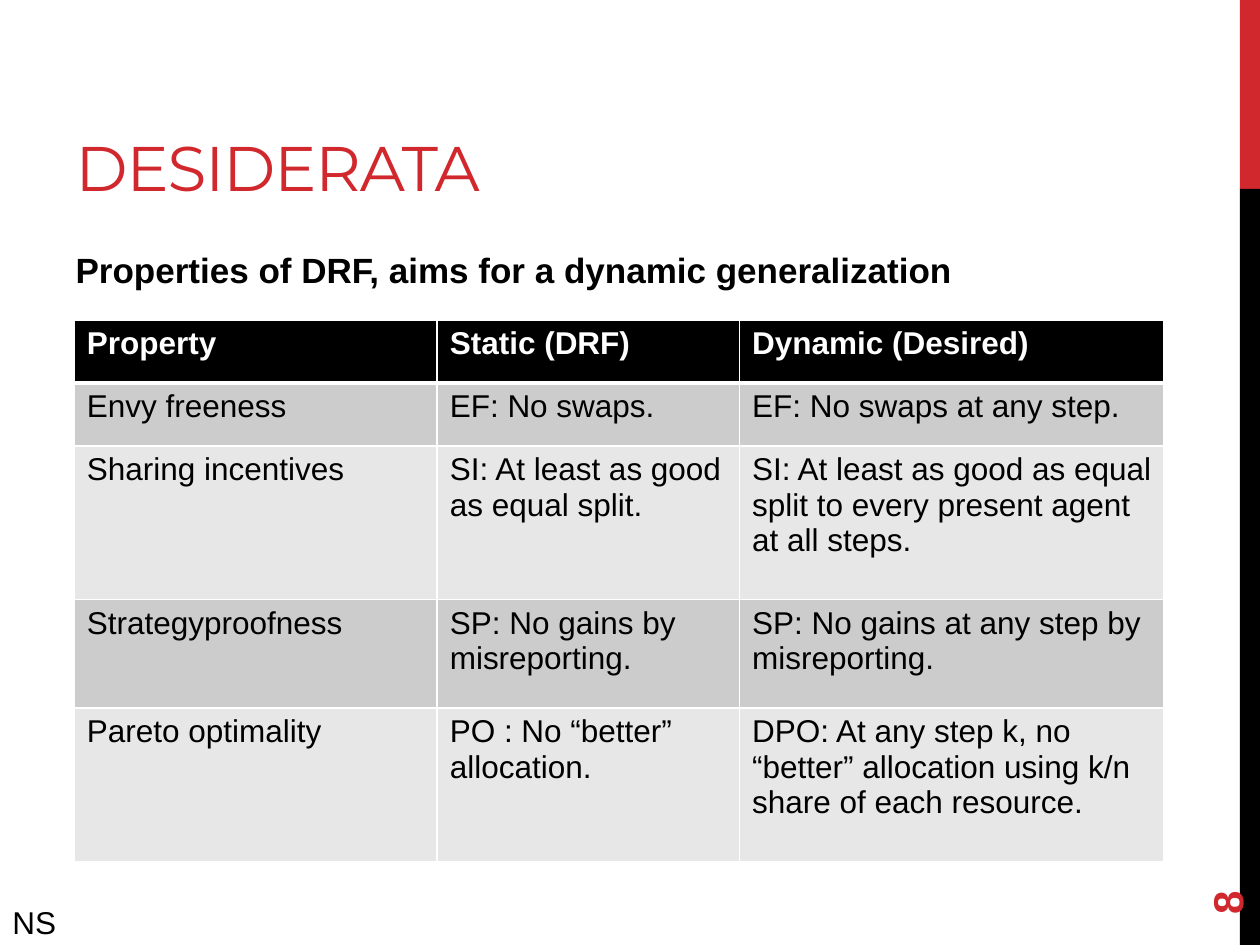
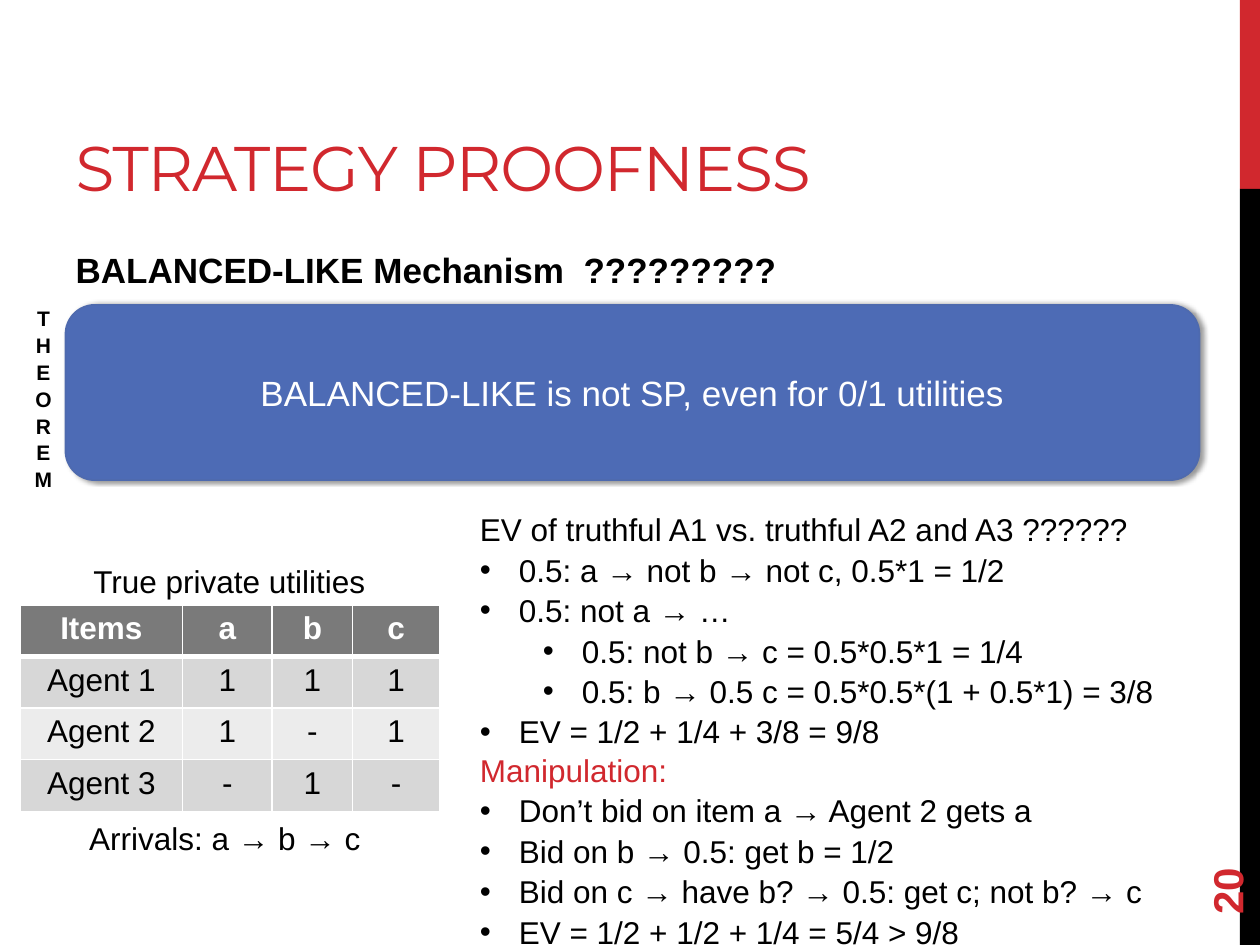
"""Build two slides on dynamic resource allocation."""
from typing import NamedTuple

from lxml.etree import SubElement
from pptx import Presentation
from pptx.dml.color import RGBColor
from pptx.enum.shapes import MSO_SHAPE
from pptx.enum.text import MSO_ANCHOR, MSO_AUTO_SIZE, PP_ALIGN
from pptx.oxml import parse_xml
from pptx.oxml.ns import nsdecls, qn
from pptx.util import Inches, Pt

COLORS = {
    "red": "D1282E", "black": "000000", "white": "FFFFFF",
    "theorem": "4D6BB5", "theorem_line": "4E6AAE",
    "header_gray": "7A7A7A", "dark_band": "CCCCCC", "light_band": "E7E7E7",
    "dark_band_soft": "D7D7D7", "light_band_soft": "ECECEC",
}
BODY_FONT, TITLE_FONT = "Arial", "Montserrat"
LINE_SPACING = 1.07
BULLET_INDENT, LEVEL_INDENT = 0.31, 0.5


class Box(NamedTuple):
    """Position and size in inches."""
    left: float
    top: float
    width: float
    height: float

    def lengths(self) -> list:
        """Return the four values as lengths."""
        return [Inches(value) for value in self]


class TextStyle(NamedTuple):
    """Look of a run and its paragraph."""
    size: float = 18
    color: str = "black"
    bold: bool = False
    font: str = BODY_FONT
    align: PP_ALIGN = PP_ALIGN.LEFT


class Line(NamedTuple):
    """One paragraph; level None means no bullet."""
    text: str
    level: int | None = 0
    color: str = "black"


class TableStyle(NamedTuple):
    """Fills and alignment of a table."""
    header: str
    bands: tuple[str, str]
    align: PP_ALIGN = PP_ALIGN.LEFT


PLAIN = TextStyle()
CENTERED = TextStyle(align=PP_ALIGN.CENTER)
TITLE = TextStyle(36, "red", font=TITLE_FONT)
SUBTITLE = TextStyle(20, bold=True)
PAGE_NUMBER = TextStyle(24, "red", bold=True)
THEOREM_LABEL = TextStyle(12, bold=True, align=PP_ALIGN.CENTER)
THEOREM_TEXT = TextStyle(20, "white", align=PP_ALIGN.CENTER)

BANDS = ((Box(9.84, 0, 0.16, 1.5), "red"), (Box(9.84, 1.5, 0.16, 6), "black"))

PROPERTIES = (
    ("Property", "Static (DRF)", "Dynamic (Desired)"),
    ("Envy freeness", "EF: No swaps.", "EF: No swaps at any step."),
    ("Sharing incentives", "SI: At least as good as equal split.",
     "SI: At least as good as equal split to every present agent at all steps."),
    ("Strategyproofness", "SP: No gains by misreporting.",
     "SP: No gains at any step by misreporting."),
    ("Pareto optimality", "PO : No “better” allocation.",
     "DPO: At any step k, no “better” allocation using k/n share of each resource."),
)
UTILITIES = (
    ("Items", "a", "b", "c"),
    ("Agent 1", "1", "1", "1"),
    ("Agent 2", "1", "-", "1"),
    ("Agent 3", "-", "1", "-"),
)
TRUTHFUL = (
    Line("EV of truthful A1 vs. truthful A2 and A3 ??????", None),
    Line("0.5: a → not b → not c, 0.5*1 = 1/2"),
    Line("0.5: not a → …"),
    Line("0.5: not b → c = 0.5*0.5*1 = 1/4", 1),
    Line("0.5: b → 0.5 c = 0.5*0.5*(1 + 0.5*1) = 3/8", 1),
    Line("EV = 1/2 + 1/4 + 3/8 = 9/8"),
)
MANIPULATION = (
    Line("Manipulation:", None, "red"),
    Line("Don’t bid on item a → Agent 2 gets a"),
    Line("Bid on b → 0.5: get b = 1/2"),
    Line("Bid on c → have b? → 0.5: get c; not b? → c"),
    Line("EV = 1/2 + 1/2 + 1/4 = 5/4 > 9/8"),
)


def rgb(name: str) -> RGBColor:
    """Look up a colour by name."""
    return RGBColor.from_string(COLORS[name])


def write(paragraph, text: str, style: TextStyle):
    """Add one styled run to a paragraph and return it."""
    paragraph.alignment = style.align
    run = paragraph.add_run()
    run.text = text
    font = run.font
    font.name, font.size, font.bold = style.font, Pt(style.size), style.bold
    font.color.rgb = rgb(style.color)
    return run


def add_bullet(paragraph, level: int) -> None:
    """Give a paragraph a hanging bullet."""
    paragraph.level = level
    properties = paragraph._p.get_or_add_pPr()
    properties.set("marL", str(Inches(BULLET_INDENT + level * LEVEL_INDENT)))
    properties.set("indent", str(-Inches(BULLET_INDENT)))
    SubElement(properties, qn("a:buFont"), typeface=BODY_FONT)
    SubElement(properties, qn("a:buChar"), char="•")


def add_text(shapes, box: Box, text: str, style: TextStyle = PLAIN):
    """Add a one-paragraph text box."""
    shape = shapes.add_textbox(*box.lengths())
    shape.text_frame.word_wrap = True
    paragraph = shape.text_frame.paragraphs[0]
    paragraph.line_spacing = LINE_SPACING
    write(paragraph, text, style)
    return shape


def add_lines(shapes, box: Box, lines: tuple[Line, ...]) -> None:
    """Add a text box with a heading and bullets."""
    frame = shapes.add_textbox(*box.lengths()).text_frame
    frame.word_wrap = True
    for index, line in enumerate(lines):
        paragraph = frame.add_paragraph() if index else frame.paragraphs[0]
        paragraph.line_spacing = LINE_SPACING
        if line.level is not None:
            add_bullet(paragraph, line.level)
        write(paragraph, line.text, TextStyle(color=line.color))


def set_borders(cell, top: float, bottom: float) -> None:
    """Draw white borders round a cell, widths in points."""
    properties = cell._tc.get_or_add_tcPr()
    for index, (side, width) in enumerate(zip("LRTB", (1, 1, top, bottom))):
        properties.insert(index, parse_xml(
            f'<a:ln{side} {nsdecls("a")} w="{Pt(width)}"><a:solidFill>'
            f'<a:srgbClr val="{COLORS["white"]}"/></a:solidFill></a:ln{side}>'))


def add_grid(shapes, box: Box, widths: tuple, heights: tuple, rows: tuple,
             style: TableStyle) -> None:
    """Add a banded table with a header row."""
    table = shapes.add_table(len(rows), len(widths), *box.lengths()).table
    for column, width in zip(table.columns, widths):
        column.width = Inches(width)
    for row_index, (row, height, texts) in enumerate(zip(table.rows, heights, rows)):
        row.height = Inches(height)
        is_header = row_index == 0
        fill = style.header if is_header else style.bands[(row_index - 1) % 2]
        text_style = TextStyle(color="white" if is_header else "black",
                               bold=is_header, align=style.align)
        for cell, text in zip(row.cells, texts):
            cell.fill.solid()
            cell.fill.fore_color.rgb = rgb(fill)
            set_borders(cell, 3 if row_index == 1 else 1, 3 if is_header else 1)
            write(cell.text_frame.paragraphs[0], text, text_style)


def add_panel(shapes, kind: MSO_SHAPE, box: Box, fill: str, line: str | None = None):
    """Add a filled shape without a shadow."""
    shape = shapes.add_shape(kind, *box.lengths())
    shape.shadow.inherit = False
    shape.fill.solid()
    shape.fill.fore_color.rgb = rgb(fill)
    if line:
        shape.line.color.rgb = rgb(line)
        shape.line.width = Pt(1)
    else:
        shape.line.fill.background()
    return shape


def add_theorem(slide, statement: str) -> None:
    """Add the theorem panel with its upright label."""
    shapes = slide.shapes.add_group_shape().shapes
    panel = add_panel(shapes, MSO_SHAPE.ROUNDED_RECTANGLE, Box(0.52, 2.42, 9, 1.39),
                      "theorem", "theorem_line")
    effects = panel._element.spPr.find(qn("a:effectLst"))
    effects.append(parse_xml(
        f'<a:outerShdw {nsdecls("a")} blurRad="{Pt(3.1)}" dist="{Pt(1.8)}" dir="0">'
        f'<a:srgbClr val="{COLORS["black"]}"><a:alpha val="40000"/></a:srgbClr>'
        '</a:outerShdw>'))
    panel.text_frame.word_wrap = True
    panel.text_frame.vertical_anchor = MSO_ANCHOR.MIDDLE
    write(panel.text_frame.paragraphs[0], statement, THEOREM_TEXT)
    add_text(shapes, Box(0.16, 2.36, 0.37, 1.51), "THEOREM", THEOREM_LABEL)


def fill_placeholder(shape, box: Box, text: str, style: TextStyle, anchor: MSO_ANCHOR):
    """Place a template placeholder and write its only paragraph."""
    shape.left, shape.top, shape.width, shape.height = box.lengths()
    frame = shape.text_frame
    frame.word_wrap = True
    frame.auto_size = MSO_AUTO_SIZE.NONE
    frame.vertical_anchor = anchor
    paragraph = frame.paragraphs[0]
    paragraph.space_before = Pt(0)
    properties = paragraph._p.get_or_add_pPr()
    properties.set("marL", "0")
    properties.set("indent", "0")
    SubElement(properties, qn("a:buNone"))
    return write(paragraph, text, style)


def add_base_slide(presentation, title: str, title_width: float, subtitle: str,
                   body_height: float, number: str):
    """Add a slide with bands, title, subtitle and page number."""
    slide = presentation.slides.add_slide(presentation.slide_layouts[1])
    for box, color in BANDS:
        add_panel(slide.shapes, MSO_SHAPE.RECTANGLE, box, color)
    run = fill_placeholder(slide.shapes.title, Box(0.5, 0.17, title_width, 1.5),
                           title, TITLE, MSO_ANCHOR.BOTTOM)
    run._r.get_or_add_rPr().set("spc", "-60")
    fill_placeholder(slide.placeholders[1], Box(0.5, 1.92, 8.33, body_height),
                     subtitle, SUBTITLE, MSO_ANCHOR.TOP)
    page_number = add_text(slide.shapes, Box(9, 6.44, 1.44, 0.4), number, PAGE_NUMBER)
    page_number.rotation = 270
    page_number.text_frame.vertical_anchor = MSO_ANCHOR.MIDDLE
    return slide


def build_desiderata(presentation) -> None:
    """Build the slide comparing static and dynamic properties."""
    slide = add_base_slide(presentation, "DESIDERATA", 6.33,
                           "Properties of DRF, aims for a dynamic generalization",
                           4.78, "8")
    add_grid(slide.shapes, Box(0.59, 2.54, 8.65, 4.3), (2.88, 2.4, 3.37),
             (0.5, 0.5, 1.22, 0.86, 1.22), PROPERTIES,
             TableStyle("black", ("dark_band", "light_band")))
    add_text(slide.shapes, Box(0, 7.1, 0.56, 0.4), "NS")


def build_strategy_proofness(presentation) -> None:
    """Build the slide with the theorem and its counterexample."""
    slide = add_base_slide(presentation, "STRATEGY PROOFNESS", 7.21,
                           "BALANCED-LIKE Mechanism  ?????????", 2, "20")
    add_theorem(slide, "BALANCED-LIKE is not SP, even for 0/1 utilities")
    add_grid(slide.shapes, Box(0.16, 4.8, 3.33, 1.62), (1.29, 0.71, 0.64, 0.69),
             (0.41,) * len(UTILITIES), UTILITIES,
             TableStyle("header_gray", ("dark_band_soft", "light_band_soft"),
                        PP_ALIGN.CENTER))
    add_text(slide.shapes, Box(0.59, 4.39, 2.46, 0.4), "True private utilities", CENTERED)
    add_text(slide.shapes, Box(0.59, 6.43, 2.46, 0.4), "Arrivals: a → b → c ", CENTERED)
    add_lines(slide.shapes, Box(3.71, 3.98, 5.59, 1.92), TRUTHFUL)
    add_lines(slide.shapes, Box(3.71, 5.89, 5.59, 1.62), MANIPULATION)


def main() -> None:
    """Build and save the presentation."""
    presentation = Presentation()
    presentation.slide_width, presentation.slide_height = Inches(10), Inches(7.5)
    build_desiderata(presentation)
    build_strategy_proofness(presentation)
    presentation.save("out.pptx")


if __name__ == "__main__":
    main()
